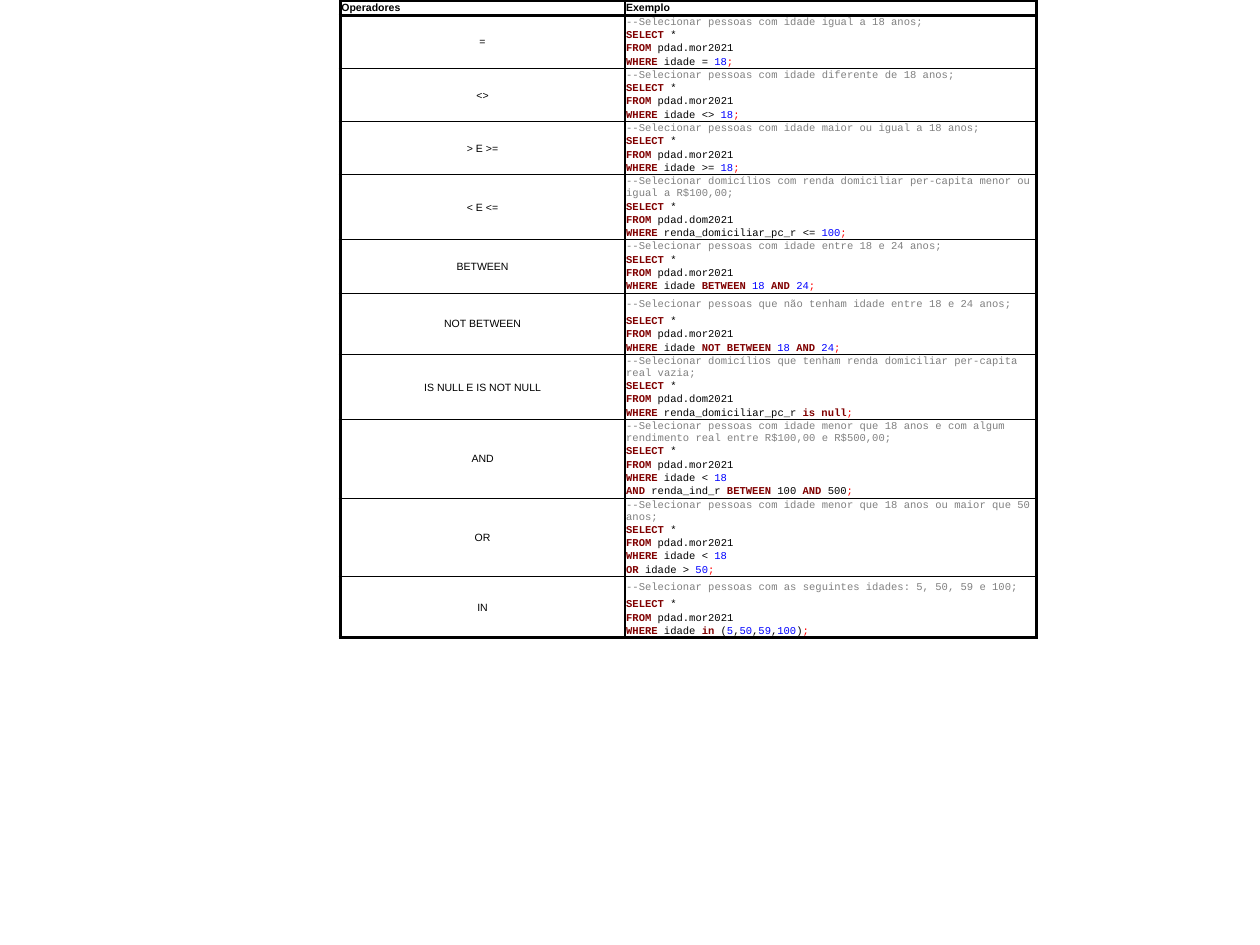
"""Build a slide with a table of SQL filter operators and an example query for each."""
from itertools import groupby

from lxml import etree
from pptx import Presentation
from pptx.dml.color import RGBColor
from pptx.enum.text import MSO_ANCHOR, PP_ALIGN
from pptx.oxml.ns import qn
from pptx.util import Inches, Pt

LEFT, CENTER, JUSTIFY = PP_ALIGN.LEFT, PP_ALIGN.CENTER, PP_ALIGN.JUSTIFY
MIDDLE = MSO_ANCHOR.MIDDLE

THEME = {
    "sans": "Arial", "mono": "Courier New", "size": 6,
    "text": "000000", "comment": "808080", "keyword": "800000",
    "number": "0000FF", "end": "FF0000", "border": "000000",
    "thick": 2, "medium": 1, "thin": 0.5,
}
KEYWORDS = {"SELECT", "FROM", "WHERE", "BETWEEN", "NOT", "AND", "OR", "is", "null", "in"}
HEADERS = ("Operadores", "Exemplo")
INCOME_RANGE = "AND renda_ind_r BETWEEN 100 AND 500;"
PLAIN_NUMBER_LINES = {INCOME_RANGE}
PEOPLE, HOMES = "pdad.mor2021", "pdad.dom2021"
OPERATORS = [
    ("=", "--Selecionar pessoas com idade igual a 18 anos;",
     PEOPLE, ["WHERE idade = 18;"]),
    ("<>", "--Selecionar pessoas com idade diferente de 18 anos;",
     PEOPLE, ["WHERE idade <> 18;"]),
    ("> E >=", "--Selecionar pessoas com idade maior ou igual a 18 anos;",
     PEOPLE, ["WHERE idade >= 18;"]),
    ("< E <=", "--Selecionar domicílios com renda domiciliar per-capita menor ou igual a R$100,00;",
     HOMES, ["WHERE renda_domiciliar_pc_r <= 100;"]),
    ("BETWEEN", "--Selecionar pessoas com idade entre 18 e 24 anos;",
     PEOPLE, ["WHERE idade BETWEEN 18 AND 24;"]),
    ("NOT BETWEEN", "--Selecionar pessoas que não tenham idade entre 18 e 24 anos;",
     PEOPLE, ["WHERE idade NOT BETWEEN 18 AND 24;"]),
    ("IS NULL E IS NOT NULL",
     "--Selecionar domicílios que tenham renda domiciliar per-capita real vazia;",
     HOMES, ["WHERE renda_domiciliar_pc_r is null;"]),
    ("AND",
     "--Selecionar pessoas com idade menor que 18 anos e com algum rendimento real "
     "entre R$100,00 e R$500,00;",
     PEOPLE, ["WHERE idade < 18", INCOME_RANGE]),
    ("OR", "--Selecionar pessoas com idade menor que 18 anos ou maior que 50 anos;",
     PEOPLE, ["WHERE idade < 18", "OR idade > 50;"]),
    ("IN", "--Selecionar pessoas com as seguintes idades: 5, 50, 59 e 100;",
     PEOPLE, ["WHERE idade in (5,50,59,100);"]),
]

TABLE_LEFT, TABLE_TOP = 2.7, 0
COLUMNS = (2.26, 3.27)
HEADER_HEIGHT, TALL_HEIGHT, LINES_HEIGHT = 0.12, 0.17, 3.8
LONG_COMMENT = 60
MARGIN = 0.01


def char_kind(ch):
    """Tell word characters, semicolons and other symbols apart."""
    return "word" if ch.isalnum() or ch in "_." else "end" if ch == ";" else "symbol"


def highlight(line):
    """Split an SQL line into (text, role) runs."""
    tokens = []
    for kind, chars in groupby(line, char_kind):
        word = "".join(chars)
        if word in KEYWORDS:
            role = "keyword"
        elif word.isdigit() and line not in PLAIN_NUMBER_LINES:
            role = "number"
        else:
            role = "end" if kind == "end" else "text"
        tokens.append((word, role))
    return [("".join(word for word, _ in group), role)
            for role, group in groupby(tokens, lambda token: token[1])]


def write(cell, runs, font="sans", bold=False, align=LEFT):
    """Write (text, role) runs into a cell."""
    p = cell.text_frame.paragraphs[0]
    p.alignment = align
    for text, role in runs:
        r = p.add_run()
        r.text = text
        r.font.name = THEME[font]
        r.font.size = Pt(THEME["size"])
        r.font.bold = bold or role == "keyword"
        r.font.color.rgb = RGBColor.from_string(THEME[role])


def style_cell(cell, left, right, top=None, bottom=None):
    """Set a cell's margins, anchor, borders and empty fill."""
    cell.margin_left = cell.margin_right = cell.margin_top = Inches(MARGIN)
    cell.margin_bottom = 0
    cell.vertical_anchor = MIDDLE
    tc_pr = cell._tc.get_or_add_tcPr()
    for side, weight in zip("LRTB", (left, right, top, bottom)):
        ln = etree.SubElement(tc_pr, qn(f"a:ln{side}"))
        if weight is None:
            etree.SubElement(ln, qn("a:noFill"))
            continue
        ln.set("w", str(Pt(THEME[weight])))
        fill = etree.SubElement(ln, qn("a:solidFill"))
        etree.SubElement(fill, qn("a:srgbClr")).set("val", THEME["border"])
    cell.fill.background()


def add_operator(table, first, operator, lines, is_first, is_last):
    """Fill the rows of one operator and merge its name cell."""
    last = first + len(lines) - 1
    opening = "thick" if is_first else "thin"
    closing = "thick" if is_last else "thin"
    for row, line in enumerate(lines, first):
        top = opening if row == first else None
        bottom = closing if row == last else None
        name, code = table.cell(row, 0), table.cell(row, 1)
        style_cell(name, "thick", "medium", opening if row == first else None, closing)
        style_cell(code, "medium", "thick", top, bottom)
        write(code, [(line, "comment")] if row == first else highlight(line), font="mono")
    table.cell(first, 0).merge(table.cell(last, 0))
    write(table.cell(first, 0), [(operator, "text")], align=CENTER)


def main():
    """Create the presentation."""
    prs = Presentation()
    prs.slide_width, prs.slide_height = Inches(10), Inches(7.5)
    s = prs.slides.add_slide(prs.slide_layouts[6])

    blocks = [(operator, [comment, "SELECT *", f"FROM {source}", *conditions])
              for operator, comment, source, conditions in OPERATORS]
    lines = [line for _, block in blocks for line in block]
    tall = [len(line) >= LONG_COMMENT for line in lines]
    line_height = LINES_HEIGHT / tall.count(False)
    heights = [HEADER_HEIGHT] + [TALL_HEIGHT if t else line_height for t in tall]

    sp = s.shapes.add_table(len(heights), len(COLUMNS), Inches(TABLE_LEFT), Inches(TABLE_TOP),
                            Inches(sum(COLUMNS)), Inches(sum(heights)))
    table = sp.table
    table.first_row = table.horz_banding = False
    for column, width in zip(table.columns, COLUMNS):
        column.width = Inches(width)
    for row, height in zip(table.rows, heights):
        row.height = Inches(height)

    edges = (("thick", "medium"), ("medium", "thick"))
    for col, (title, (left, right)) in enumerate(zip(HEADERS, edges)):
        cell = table.cell(0, col)
        style_cell(cell, left, right, "thick", "thick")
        write(cell, [(title, "text")], bold=True, align=JUSTIFY)

    first = 1
    for i, (operator, block) in enumerate(blocks):
        add_operator(table, first, operator, block, i == 0, i == len(blocks) - 1)
        first += len(block)
    prs.save("out.pptx")


if __name__ == "__main__":
    main()
